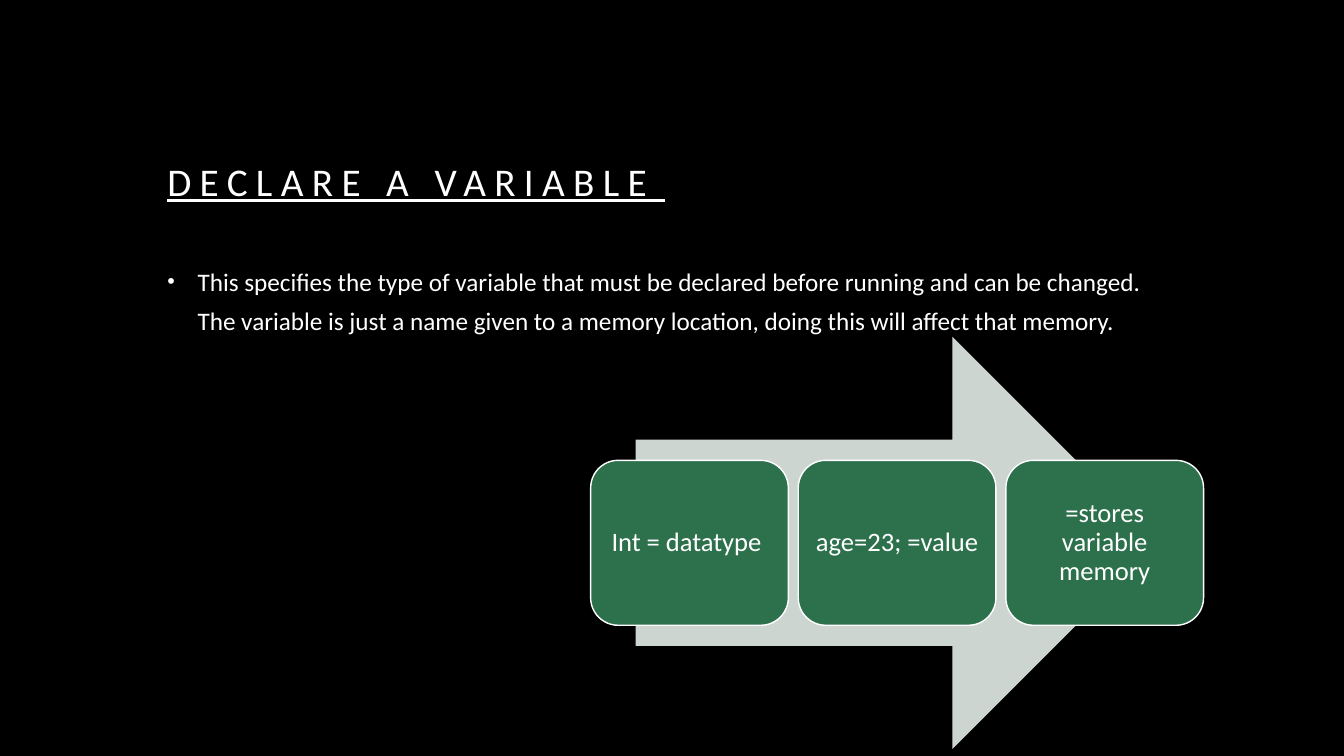
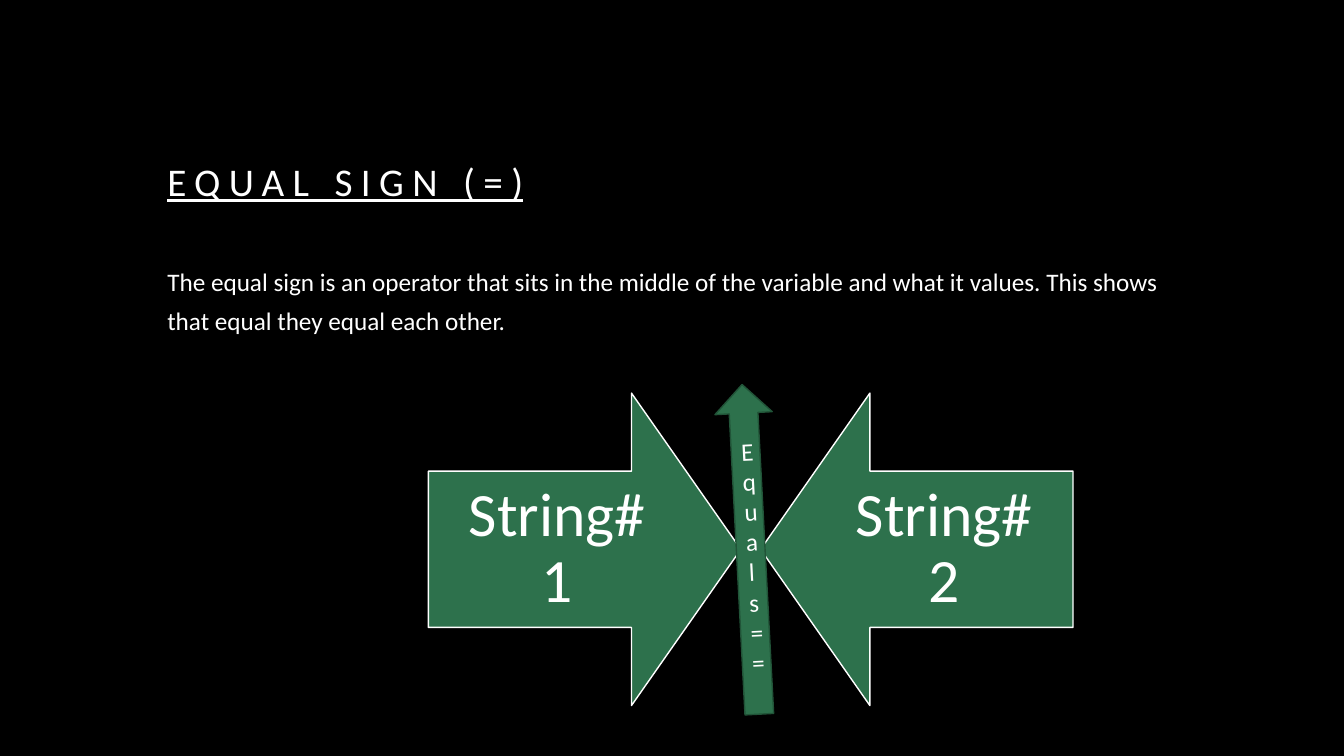
import lxml.etree
import pptx
import pptx.dml.color
import pptx.enum.shapes
import pptx.enum.text
import pptx.oxml.ns
import pptx.util

Pt = pptx.util.Pt
SHAPES = pptx.enum.shapes.MSO_SHAPE
ALIGN = pptx.enum.text.PP_ALIGN
ANCHOR = pptx.enum.text.MSO_ANCHOR

FONT = "Calibri"
COLORS = {
    "background": "000000",
    "text": "FFFFFF",
    "green": "2D714C",
    "dark_green": "215438",
    "pale": "CDD5D0",
}
TITLE_BOX = (112.3, 82, 727, 67.7)
BODY_BOX = (112.3, 180, 727, 300)


def rgb(name):
    return pptx.dml.color.RGBColor.from_string(COLORS[name])


def place(shape, box):
    shape.left, shape.top, shape.width, shape.height = map(Pt, box)


def write(shape, text, size, align, anchor, line_spacing):
    frame = shape.text_frame
    frame.text = text
    frame.word_wrap = True
    frame.auto_size = pptx.enum.text.MSO_AUTO_SIZE.NONE
    frame.vertical_anchor = anchor
    paragraph = frame.paragraphs[0]
    paragraph.alignment = align
    paragraph.line_spacing = line_spacing
    font = paragraph.runs[0].font
    font.name = FONT
    font.size = Pt(size)
    font.color.rgb = rgb("text")
    return paragraph


def set_bullet(paragraph, bulleted):
    properties = paragraph._p.get_or_add_pPr()
    indent = Pt(21.6) if bulleted else 0
    properties.set("marL", str(indent))
    properties.set("indent", str(-indent))
    marks = [("buNone", {})]
    if bulleted:
        marks = [
            ("buSzPct", {"val": "85000"}),
            ("buFont", {"typeface": "Arial"}),
            ("buChar", {"char": "•"}),
        ]
    for tag, attributes in marks:
        lxml.etree.SubElement(properties, pptx.oxml.ns.qn("a:" + tag), attributes)


def add_text_slide(prs, title, body, bulleted):
    slide = prs.slides.add_slide(prs.slide_layouts[1])
    heading, content = slide.placeholders
    place(heading, TITLE_BOX)
    font = write(heading, title, 28, ALIGN.LEFT, ANCHOR.BOTTOM, 1.2).runs[0].font
    font.underline = True
    font._element.set("spc", "600")
    place(content, BODY_BOX)
    paragraph = write(content, body, 18, ALIGN.LEFT, ANCHOR.TOP, 1.3)
    paragraph.space_before = Pt(10)
    set_bullet(paragraph, bulleted)
    return slide


def add_block(slide, kind, box, fill, line=None):
    block = slide.shapes.add_shape(kind, *map(Pt, box))
    block.shadow.inherit = False
    block.fill.solid()
    block.fill.fore_color.rgb = rgb(fill)
    if line:
        block.line.color.rgb = rgb(line)
        block.line.width = Pt(1)
    else:
        block.line.fill.background()
    return block


def label(block, text, size, inset):
    write(block, text, size, ALIGN.CENTER, ANCHOR.MIDDLE, 0.9)
    frame = block.text_frame
    frame.margin_left = frame.margin_right = Pt(inset)
    frame.margin_top = frame.margin_bottom = Pt(inset)


def add_process(slide, box, steps, gap=7.1):
    left, top, width, height = box
    arrow_width = width * 0.853
    arrow_left = left + (width - arrow_width) / 2
    add_block(slide, SHAPES.RIGHT_ARROW, (arrow_left, top, arrow_width, height), "pale")
    step_width = (width - gap * (len(steps) - 1)) / len(steps)
    for index, text in enumerate(steps):
        step_box = (left + index * (step_width + gap), top + height * 0.3,
                    step_width, height * 0.4)
        step = add_block(slide, SHAPES.ROUNDED_RECTANGLE, step_box, "green", "text")
        label(step, text, 19, 5.8)


def add_comparison(slide, box, first, second, divider):
    left, top, width, side = box
    sides = [
        (SHAPES.RIGHT_ARROW, left, first),
        (SHAPES.LEFT_ARROW, left + width - side, second),
    ]
    for kind, side_left, text in sides:
        arrow = add_block(slide, kind, (side_left, top, side, side), "green", "text")
        arrow.adjustments[1] = 0.35
        label(arrow, text, 44, 24.5)
    middle_width, overhang = 41, 6.3
    middle_box = (left + (width - middle_width) / 2, top - overhang,
                  middle_width, side + 2 * overhang)
    middle = add_block(slide, SHAPES.UP_ARROW, middle_box, "green", "dark_green")
    middle.rotation = 357
    write(middle, divider, 18, ALIGN.CENTER, ANCHOR.MIDDLE, 1.0)


def main():
    prs = pptx.Presentation()
    prs.slide_width, prs.slide_height = Pt(960), Pt(540)
    background = prs.slide_master.background.fill
    background.solid()
    background.fore_color.rgb = rgb("background")

    declaration = add_text_slide(
        prs,
        "DECLARE A VARIABLE ",
        "This specifies the type of variable that must be declared before running "
        "and can be changed.  The variable is just a name given to a memory "
        "location, doing this will affect that memory.",
        bulleted=True,
    )
    add_process(declaration, (421.9, 240.5, 437.8, 294.5),
                ["Int = datatype ", "age=23; =value", "=stores variable memory"])

    equality = add_text_slide(
        prs,
        "EQUAL SIGN (=)",
        "The equal sign is an operator that sits in the middle of the variable "
        "and what it values. This shows that equal they equal each other.",
        bulleted=False,
    )
    add_comparison(equality, (306, 280.8, 460.5, 223.2),
                   "String#1", "String#2", "Equals==")
    prs.save("out.pptx")


if __name__ == "__main__":
    main()
